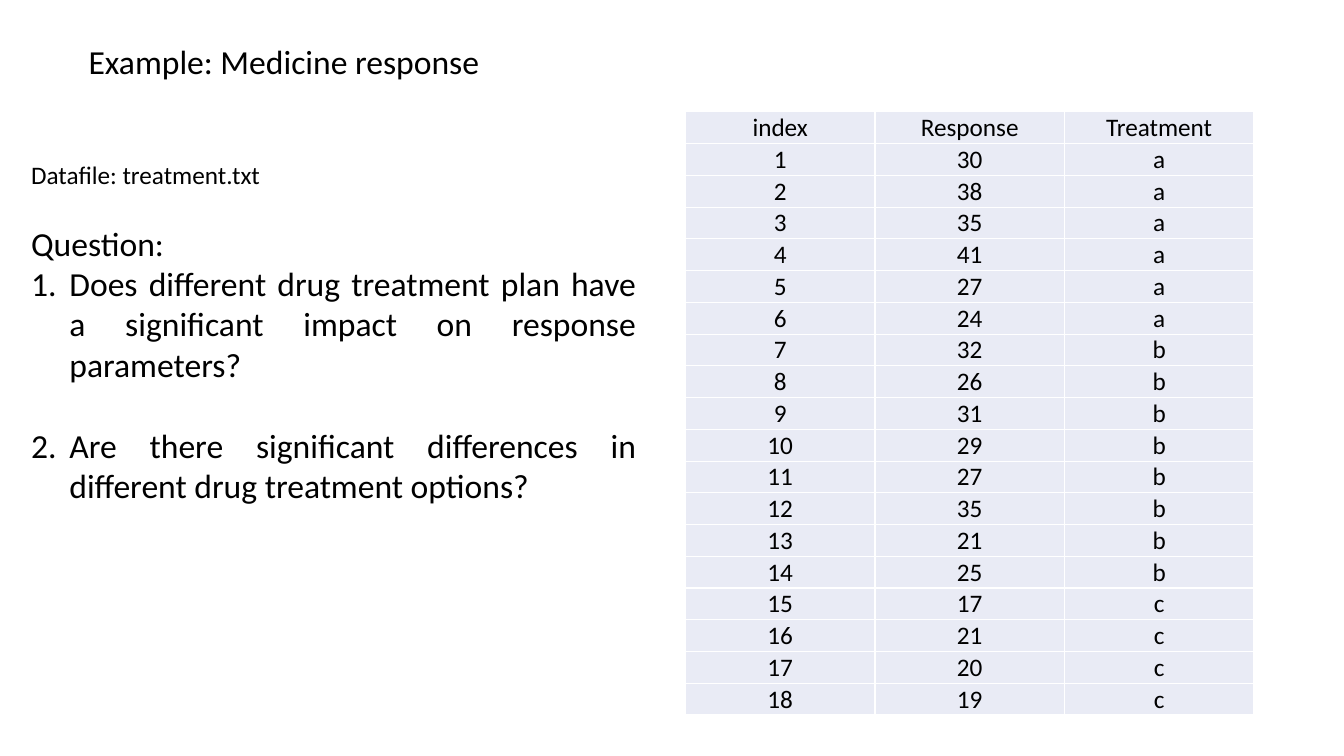
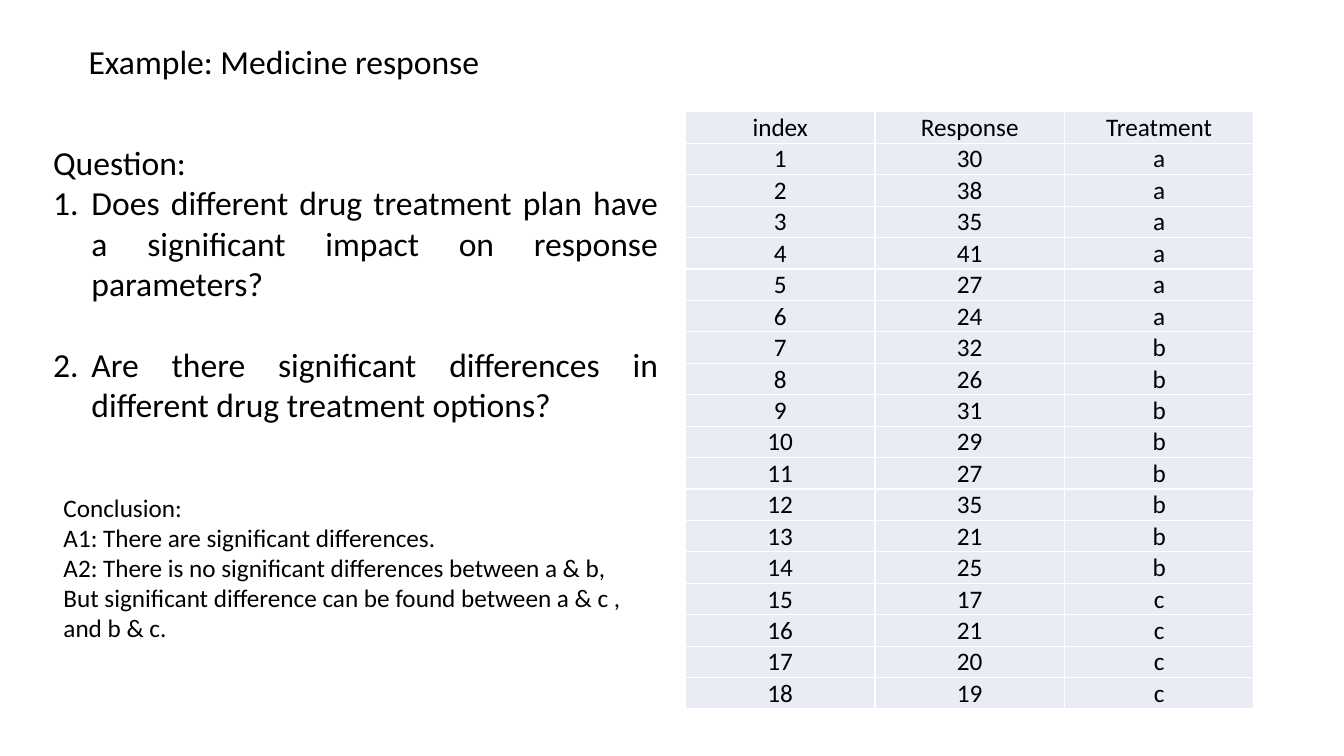
import lxml.etree
import pptx
import pptx.dml.color
import pptx.enum.text
import pptx.oxml.ns
import pptx.util

FONT, INK, CELL, RULE = "Calibri", "000000", "E9EBF5", "FFFFFF"
LARGE, SMALL = pptx.util.Pt(24), pptx.util.Pt(18)
ALIGN = pptx.enum.text.PP_ALIGN

HEADER = ("index", "Response", "Treatment")
RESPONSES = {
    "a": (30, 38, 35, 41, 27, 24),
    "b": (32, 26, 31, 29, 27, 35, 21, 25),
    "c": (17, 21, 20, 19),
}
pairs = [(value, plan) for plan, values in RESPONSES.items() for value in values]
ROWS = [HEADER] + [(i, value, plan) for i, (value, plan) in enumerate(pairs, 1)]

TITLE = "Example: Medicine response"
HEADING = "Question:"
QUESTIONS = (
    "Does different drug treatment plan have a significant impact on response parameters?",
    "Are there significant differences in different drug treatment options?",
)
CONCLUSION = (
    "Conclusion:",
    "A1: There are significant differences.",
    "A2: There is no significant differences between a & b,",
    "But significant difference can be found between a & c , and b & c.",
)

# Boxes are left, top, width, height in percent of the slide.
TITLE_BOX = (5.85, 4.8, 41.25, 6.67)
SLIDES = (
    {"table": (51, 14.8, 42.3, 79.87),
     "questions": (1.58, 28.8, 46.5, 39.07),
     "note": (1.58, 20.4, 25.2, 5.33),
     "lines": ("Datafile: treatment.txt",)},
    {"table": (51, 14.8, 42.3, 79.07),
     "questions": (3.22, 18.13, 46.5, 39.07),
     "note": (3.98, 64.4, 45.08, 21.6),
     "lines": CONCLUSION},
)

prs = pptx.Presentation()
prs.slide_width, prs.slide_height = pptx.util.Inches(13.33), pptx.util.Inches(7.5)


def place(box):
    """Turn percent of the slide into EMU."""
    sides = (prs.slide_width, prs.slide_height) * 2
    return [int(side * share / 100) for side, share in zip(sides, box)]


def write(tf, lines, size, align=ALIGN.LEFT):
    for i, line in enumerate(lines):
        p = tf.add_paragraph() if i else tf.paragraphs[0]
        p.alignment = align
        r = p.add_run()
        r.text = str(line)
        r.font.name, r.font.size = FONT, size
        r.font.color.rgb = pptx.dml.color.RGBColor.from_string(INK)


qn = pptx.oxml.ns.qn
for layout in SLIDES:
    s = prs.slides.add_slide(prs.slide_layouts[6])

    x, y, w, h = place(layout["table"])
    table = s.shapes.add_table(len(ROWS), len(HEADER), x, y, w, h).table
    table.first_row = table.horz_banding = False
    for row, values in zip(table.rows, ROWS):
        row.height = h // len(ROWS)
        for cell, value in zip(row.cells, values):
            cell.margin_left = cell.margin_right = cell.margin_top = pptx.util.Pt(0.5)
            cell.margin_bottom = 0
            cell.vertical_anchor = pptx.enum.text.MSO_ANCHOR.MIDDLE
            for side in ("a:lnL", "a:lnR", "a:lnT", "a:lnB"):
                ln = lxml.etree.SubElement(cell._tc.get_or_add_tcPr(), qn(side), w="12700")
                fill = lxml.etree.SubElement(ln, qn("a:solidFill"))
                lxml.etree.SubElement(fill, qn("a:srgbClr"), val=RULE)
            cell.fill.solid()
            cell.fill.fore_color.rgb = pptx.dml.color.RGBColor.from_string(CELL)
            write(cell.text_frame, [value], SMALL, ALIGN.CENTER)

    for box, lines, size, align in (
        (TITLE_BOX, [TITLE], LARGE, ALIGN.LEFT),
        (layout["note"], layout["lines"], SMALL, ALIGN.LEFT),
        (layout["questions"], (HEADING, *QUESTIONS), LARGE, ALIGN.JUSTIFY),
    ):
        tf = s.shapes.add_textbox(*place(box)).text_frame
        tf.word_wrap = True
        tf.auto_size = pptx.enum.text.MSO_AUTO_SIZE.SHAPE_TO_FIT_TEXT
        write(tf, lines, size, align)

    # The questions box comes last: number everything below its heading.
    for p in tf.paragraphs[1:]:
        pPr = p._p.get_or_add_pPr()
        indent = pptx.util.Inches(0.38)
        pPr.set("marL", str(indent))
        pPr.set("indent", str(-indent))
        lxml.etree.SubElement(pPr, qn("a:buFont"), typeface="+mj-lt")
        lxml.etree.SubElement(pPr, qn("a:buAutoNum"), type="arabicPeriod")
    p.space_before = pptx.util.Pt(29)

prs.save("out.pptx")
